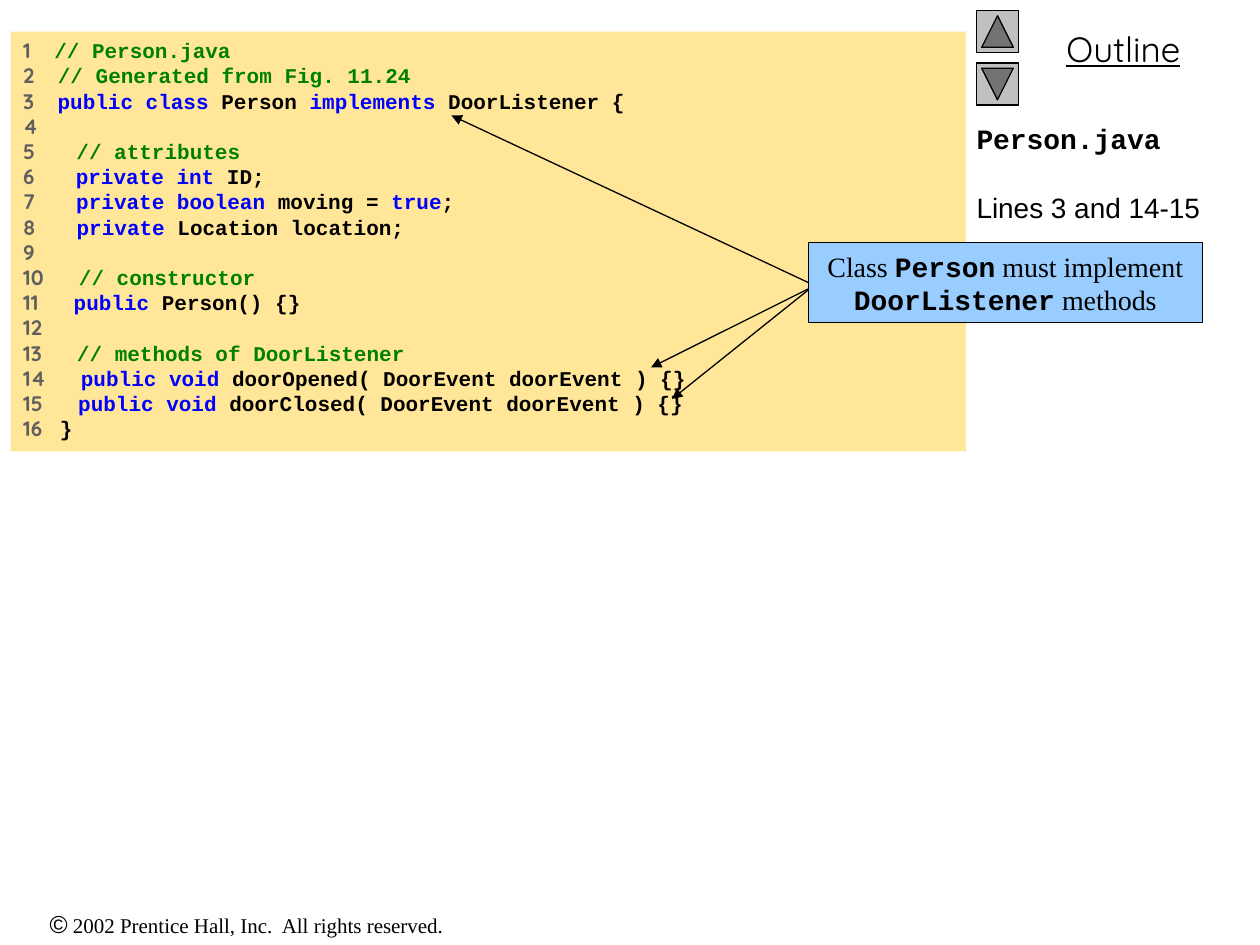
"""Builds the Person.java code listing slide with its outline column and callout."""
import pptx
import pptx.util
import pptx.dml.color
import pptx.enum.shapes
import pptx.enum.text
import pptx.oxml
import pptx.oxml.ns

Pt = pptx.util.Pt
RGBColor = pptx.dml.color.RGBColor
SHAPE = pptx.enum.shapes.MSO_SHAPE
ALIGN = pptx.enum.text.PP_ALIGN
ANCHOR = pptx.enum.text.MSO_ANCHOR

BLACK = RGBColor(0x00, 0x00, 0x00)
GREY = RGBColor(0x5F, 0x5F, 0x5F)
GREEN = RGBColor(0x00, 0x80, 0x00)
BLUE = RGBColor(0x00, 0x00, 0xFF)
SAND = RGBColor(0xFF, 0xE6, 0x99)
SKY = RGBColor(0x99, 0xCC, 0xFF)
SILVER = RGBColor(0xC0, 0xC0, 0xC0)

CODE, SANS, SERIF, ROUND = "Courier New", "Arial", "Times New Roman", "Quicksand"

LISTING = [
    ("1    ", [("// Person.java", GREEN)]),
    ("2    ", [("// Generated from Fig. 11.24", GREEN)]),
    ("3    ", [("public class", BLUE), (" Person ", BLACK),
               ("implements", BLUE), (" DoorListener {", BLACK)]),
    ("4", []),
    ("5       ", [("// attributes", GREEN)]),
    ("6       ", [("private int", BLUE), (" ID;", BLACK)]),
    ("7       ", [("private boolean", BLUE), (" moving = ", BLACK),
                  ("true", BLUE), (";", BLACK)]),
    ("8       ", [("private", BLUE), (" Location location;", BLACK)]),
    ("9", []),
    ("10      ", [("// constructor", GREEN)]),
    ("11      ", [("public", BLUE), (" Person() {}", BLACK)]),
    ("12", []),
    ("13      ", [("// methods of DoorListener", GREEN)]),
    ("14      ", [("public void", BLUE), (" doorOpened( DoorEvent doorEvent ) {}", BLACK)]),
    ("15      ", [("public void", BLUE), (" doorClosed( DoorEvent doorEvent ) {}", BLACK)]),
    ("16   ", [("}", BLACK)]),
]
SUMMARY = [("Person.java", CODE, True), ("Lines 3 and 14-15", SANS, False)]
CALLOUT = [("Class ", SERIF, False), ("Person", CODE, True), (" must implement ", SERIF, False),
           ("DoorListener", CODE, True), (" methods", SERIF, False)]
BUTTONS = [(6, 90), (36, 270)]
METHOD_ARROWS = [((474, 156), (384, 228)), ((468, 162), (372, 210))]
CLASS_ARROW = ((462, 161.5), (258, 66))


def add_span(para, text, font, size, color=BLACK, bold=False, underline=False):
    span = para.add_run()
    span.text = text
    span.font.name = font
    span.font.size = Pt(size)
    span.font.color.rgb = color
    span.font.bold = bold
    span.font.underline = underline


def place(box, left, top, width, height):
    box.left, box.top, box.width, box.height = Pt(left), Pt(top), Pt(width), Pt(height)


def prepare_frame(box, anchor=ANCHOR.TOP):
    frame = box.text_frame
    frame.word_wrap = True
    frame.auto_size = pptx.enum.text.MSO_AUTO_SIZE.NONE
    frame.vertical_anchor = anchor
    return frame


def next_paragraph(frame, index, align=ALIGN.LEFT):
    para = frame.add_paragraph() if index else frame.paragraphs[0]
    para.alignment = align
    para.space_before = Pt(0)
    return para


def add_label(page, left, top, width, height):
    box = page.shapes.add_textbox(Pt(left), Pt(top), Pt(width), Pt(height))
    return next_paragraph(prepare_frame(box), 0, ALIGN.CENTER)


def add_filled(page, kind, bounds, fill):
    box = page.shapes.add_shape(kind, *(Pt(value) for value in bounds))
    box.shadow.inherit = False
    box.fill.solid()
    box.fill.fore_color.rgb = fill
    box.line.color.rgb = BLACK
    box.line.width = Pt(0.75)
    return box


def add_arrow(page, start, end):
    arrow = page.shapes.add_connector(
        pptx.enum.shapes.MSO_CONNECTOR.STRAIGHT, *(Pt(value) for value in start + end))
    arrow.line.color.rgb = BLACK
    arrow.line.width = Pt(0.75)
    outline = arrow.line._get_or_add_ln()
    head = pptx.oxml.parse_xml(
        '<a:tailEnd %s type="triangle"/>' % pptx.oxml.ns.nsdecls("a"))
    outline.append(head)
    arrow._element.spPr.append(
        pptx.oxml.parse_xml("<a:effectLst %s/>" % pptx.oxml.ns.nsdecls("a")))
    return arrow


def fill_listing(box):
    place(box, 6, 18, 546, 240)
    box.fill.solid()
    box.fill.fore_color.rgb = SAND
    frame = prepare_frame(box)
    for index, (number, pieces) in enumerate(LISTING):
        para = next_paragraph(frame, index)
        para.line_spacing = Pt(14.4)
        add_span(para, number, ROUND, 12, GREY, True)
        for text, color in pieces:
            add_span(para, text, CODE, 12, color, True)


def fill_summary(box):
    place(box, 558, 66, 162, 474)
    frame = prepare_frame(box)
    frame.margin_left = Pt(0)
    for index, (text, font, bold) in enumerate(SUMMARY):
        para = next_paragraph(frame, index)
        if index:
            para.space_before = Pt(20)
        add_span(para, text, font, 16, bold=bold)


def add_callout(page):
    box = add_filled(page, SHAPE.RECTANGLE, (462, 138.5, 225, 46), SKY)
    para = next_paragraph(prepare_frame(box, ANCHOR.MIDDLE), 0, ALIGN.CENTER)
    for text, font, bold in CALLOUT:
        add_span(para, text, font, 16, bold=bold)
    return box


def main():
    deck = pptx.Presentation()
    deck.slide_width, deck.slide_height = Pt(720), Pt(540)
    page = deck.slides.add_slide(deck.slide_layouts[0])
    fill_listing(page.shapes.title)
    fill_summary(page.placeholders[1])

    notice = add_label(page, 0, 516, 282, 24)
    add_span(notice, "©", SANS, 14)
    add_span(notice, " 2002 Prentice Hall, Inc.  All rights reserved.", SERIF, 12)
    add_span(add_label(page, 564, 12, 156, 32), "Outline", ROUND, 20, underline=True)

    for top, rotation in BUTTONS:
        button = add_filled(
            page, SHAPE.ACTION_BUTTON_BACK_OR_PREVIOUS, (558, top, 24, 24), SILVER)
        button.rotation = rotation

    for start, end in METHOD_ARROWS:
        add_arrow(page, start, end)
    callout = add_callout(page)
    add_arrow(page, *CLASS_ARROW).begin_connect(callout, 1)

    deck.save("out.pptx")


if __name__ == "__main__":
    main()
